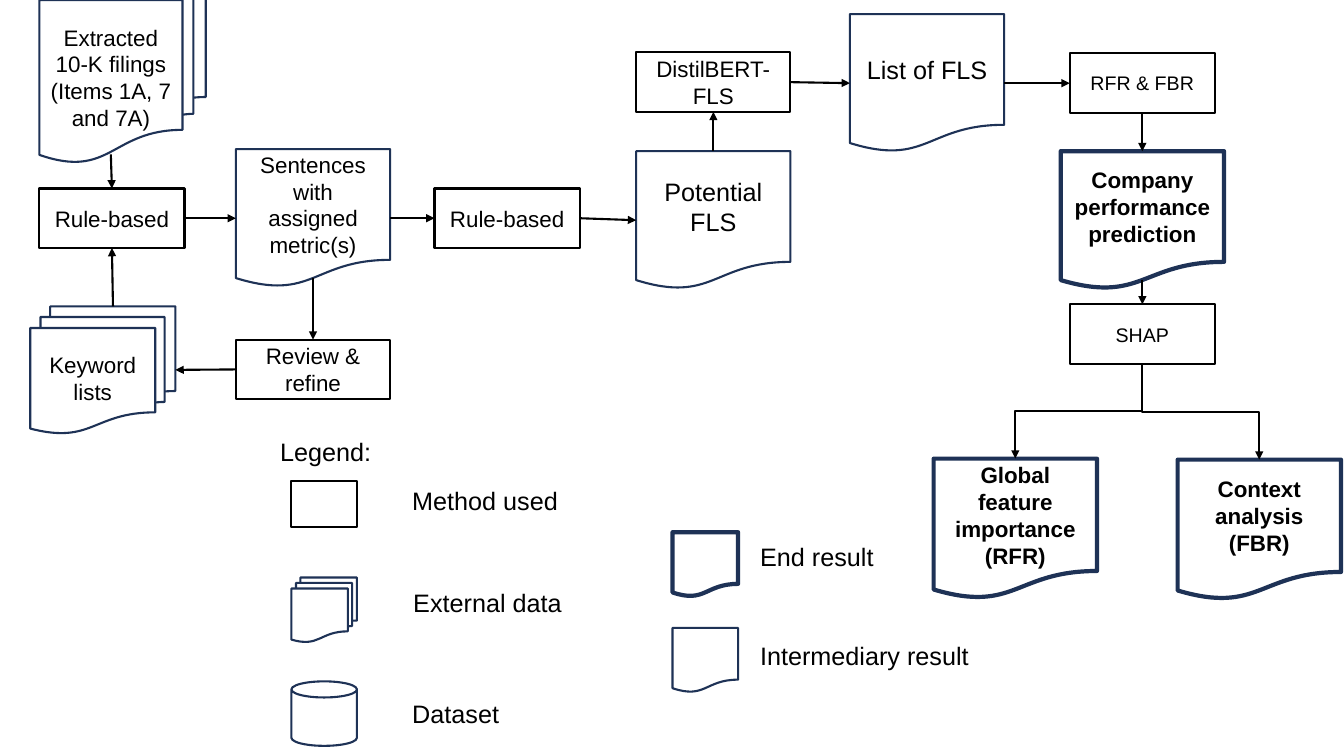
from dataclasses import dataclass
from lxml import etree
from pptx import Presentation
from pptx.dml.color import RGBColor
from pptx.enum import shapes, text
from pptx.oxml.ns import qn
from pptx.util import Inches, Pt


@dataclass(frozen=True)
class Theme:
    font: str = "Arial"
    ink: str = "000000"
    navy: str = "1E3256"
    thin: float = 1.5
    thick: float = 3
    small: int = 14
    body: int = 16
    large: int = 18


theme = Theme()
kinds = shapes.MSO_SHAPE
looks = {
    "method": (kinds.RECTANGLE, theme.ink, theme.thin),
    "data": (kinds.FLOWCHART_MULTIDOCUMENT, theme.navy, theme.thin),
    "step": (kinds.FLOWCHART_DOCUMENT, theme.navy, theme.thin),
    "result": (kinds.FLOWCHART_DOCUMENT, theme.navy, theme.thick),
    "store": (kinds.CAN, theme.navy, theme.thin),
}
nodes = {
    "rules": ("method", 0.39, 1.87, 1.44, 0.59, "Rule-based", theme.body),
    "sentences": ("step", 2.34, 1.48, 1.53, 1.37, "Sentences with assigned metric(s)", theme.body),
    "keywords": ("data", 0.3, 3.04, 1.44, 1.26, "Keyword lists", theme.body),
    "filter": ("method", 4.31, 1.87, 1.44, 0.59, "Rule-based", theme.body),
    "potential": ("step", 6.31, 1.5, 1.53, 1.37, "Potential FLS", theme.large),
    "bert": ("method", 6.31, 0.52, 1.53, 0.59, "DistilBERT-FLS", theme.body),
    "list": ("step", 8.43, 0.14, 1.53, 1.37, "List of FLS", theme.large),
    "models": ("method", 10.61, 0.53, 1.44, 0.59, "RFR & FBR", theme.small),
    "company": ("result", 10.52, 1.5, 1.62, 1.37, "Company performance prediction", theme.body),
    "filings": ("data", 0.39, -0.33, 1.65, 1.94, "Extracted 10-K filings (Items 1A, 7 and 7A)", theme.body),
    "global": ("result", 9.26, 4.55, 1.62, 1.39, "Global feature importance (RFR)", theme.body),
    "shap": ("method", 10.61, 3.02, 1.44, 0.59, "SHAP", theme.small),
    "refine": ("method", 2.34, 3.37, 1.53, 0.59, "Review & refine", theme.body),
    "context": ("result", 11.68, 4.56, 1.62, 1.39, "Context analysis (FBR)", theme.body),
}
flows = [
    ("filings", "bottom", "rules", "top"),
    ("rules", "right", "sentences", "left"),
    ("sentences", "right", "filter", "left"),
    ("filter", "right", "potential", "left"),
    ("potential", "top", "bert", "bottom"),
    ("bert", "right", "list", "left"),
    ("list", "right", "models", "left"),
    ("models", "bottom", "company", "top"),
    ("keywords", "top", "rules", "bottom"),
    ("company", "bottom", "shap", "top"),
    ("sentences", "bottom", "refine", "top"),
    ("refine", "left", "keywords", "right"),
]
forks = [("shap", "bottom", "global", "top"), ("shap", "bottom", "context", "top")]
legend = [
    ("method", 2.89, 4.77, 0.46, "Method used", 3.99, 4.77),
    ("result", 6.67, 5.28, 0.64, "End result", 7.44, 5.32),
    ("step", 6.67, 6.23, 0.64, "Intermediary result", 7.44, 6.3),
    ("data", 2.89, 5.73, 0.64, "External data", 4, 5.78),
    ("store", 2.89, 6.76, 0.64, "Dataset", 3.99, 6.88),
]
sides = ["top", "left", "bottom", "right"]
sites = {"top": (0.5, 0), "left": (0, 0.5), "bottom": (0.5, 1), "right": (1, 0.5)}
curved = {"bottom": (0.5, 0.93)}
stacked = {"top": (0.57, 0), "bottom": (0.43, 0.96)}
ports = {
    "method": sites,
    "step": sites | curved,
    "result": sites | curved,
    "data": sites | stacked,
}


def write(frame, words, size, bold=False):
    run = frame.paragraphs[0].add_run()
    run.text = words
    font = run.font
    font.name, font.size, font.bold = theme.font, Pt(size), bold
    font.color.rgb = RGBColor.from_string(theme.ink)


def draw(slide, look, *box):
    kind, color, width = looks[look]
    shape = slide.shapes.add_shape(kind, *map(Inches, box))
    shape.shadow.inherit = False
    shape.fill.background()
    shape.line.color.rgb = RGBColor.from_string(color)
    shape.line.width = Pt(width)
    return shape


def node(slide, look, x, y, w, h, words, size):
    shape = draw(slide, look, x, y, w, h)
    frame = shape.text_frame
    frame.word_wrap = True
    frame.vertical_anchor = text.MSO_ANCHOR.MIDDLE
    frame.paragraphs[0].alignment = text.PP_ALIGN.CENTER
    write(frame, words, size, look == "result")
    return shape


def label(slide, words, x, y):
    frame = slide.shapes.add_textbox(*map(Inches, (x, y, 2.58, 0.4))).text_frame
    frame.word_wrap = True
    frame.auto_size = text.MSO_AUTO_SIZE.SHAPE_TO_FIT_TEXT
    write(frame, words, theme.large)


def port(name, side):
    look, x, y, w, h = nodes[name][:5]
    across, down = ports[look][side]
    return x + w * across, y + h * down


def arrow(slide, drawn, flow, bent=False):
    start, out, end, into = flow
    (x1, y1), (x2, y2) = port(start, out), port(end, into)
    angle = 0
    if bent:
        midx, midy = (x1 + x2) / 2, (y1 + y2) / 2
        span, rise = (y2 - y1) / 2, abs(x2 - x1) / 2
        angle, turn = (270, -1) if x2 > x1 else (90, 1)
        x1, x2 = midx - turn * span, midx + turn * span
        y1, y2 = midy - rise, midy + rise
    kind = shapes.MSO_CONNECTOR.ELBOW if bent else shapes.MSO_CONNECTOR.STRAIGHT
    link = slide.shapes.add_connector(kind, 0, 0, 0, 0)
    link.begin_connect(drawn[start], sides.index(out))
    link.end_connect(drawn[end], sides.index(into))
    link.begin_x, link.begin_y = Inches(x1), Inches(y1)
    link.end_x, link.end_y = Inches(x2), Inches(y2)
    link.rotation = angle
    link.line.color.rgb = RGBColor.from_string(theme.ink)
    link.line.width = Pt(theme.thin)
    etree.SubElement(link.line._get_or_add_ln(), qn("a:tailEnd"), type="triangle")
    etree.SubElement(link._element.spPr, qn("a:effectLst"))


def main():
    deck = Presentation()
    deck.slide_width, deck.slide_height = Inches(13.33), Inches(7.5)
    slide = deck.slides.add_slide(deck.slide_layouts[6])
    drawn = {name: node(slide, *item) for name, item in nodes.items()}
    for flow in flows:
        arrow(slide, drawn, flow)
    for fork in forks:
        arrow(slide, drawn, fork, bent=True)
    label(slide, "Legend:", 2.68, 4.28)
    for look, x, y, h, words, left, top in legend:
        draw(slide, look, x, y, 0.65, h)
        label(slide, words, left, top)
    deck.save("out.pptx")


if __name__ == "__main__":
    main()
